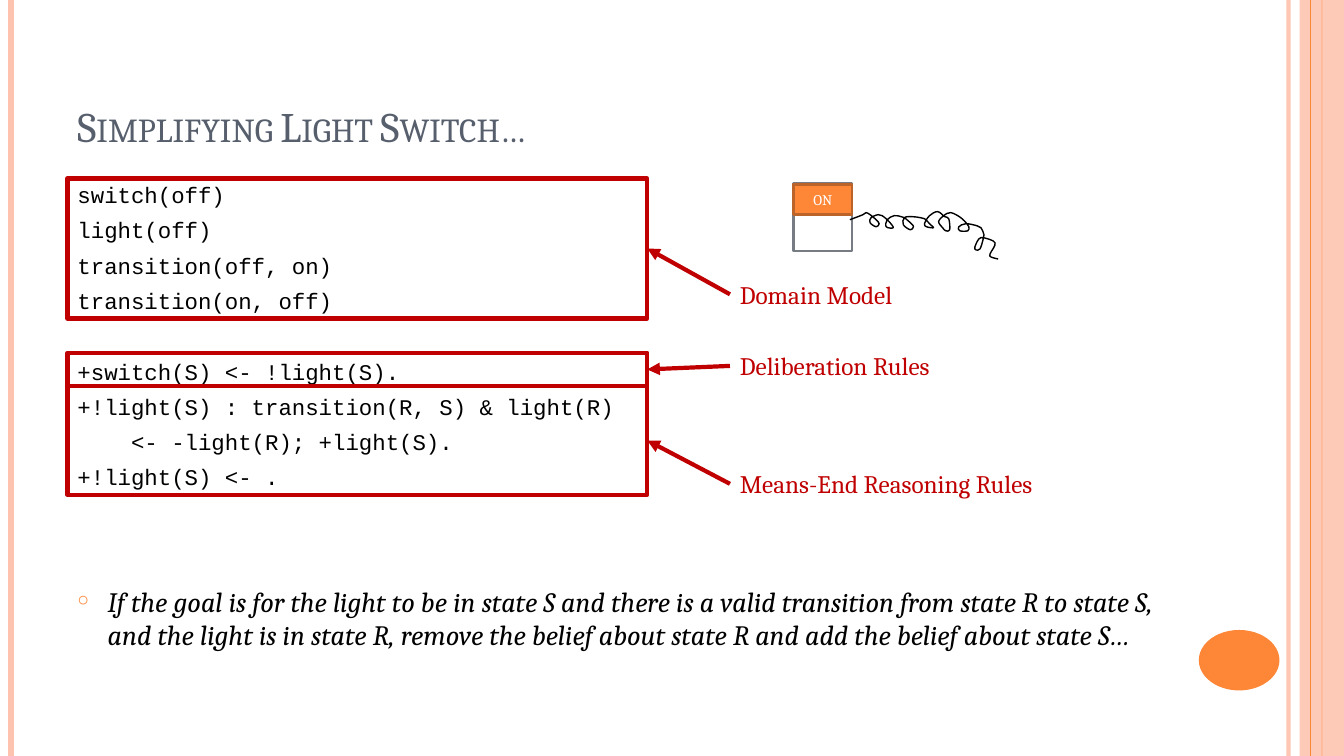
import pptx
import pptx.dml.color
import pptx.enum.shapes
import pptx.enum.text
import pptx.oxml
import pptx.oxml.ns
import pptx.util

Inches = pptx.util.Inches
Pt = pptx.util.Pt
SHAPES = pptx.enum.shapes.MSO_SHAPE
ANCHOR = pptx.enum.text.MSO_ANCHOR
ALIGN = pptx.enum.text.PP_ALIGN
STRAIGHT = pptx.enum.shapes.MSO_CONNECTOR.STRAIGHT
COLORS = {
    "peach": "FEC3AE", "orange": "FE8637", "rust": "BC6329", "slate": "575F6D",
    "gray": "777C84", "red": "C00000", "black": "000000", "white": "FFFFFF",
}
NS = 'xmlns:a="http://schemas.openxmlformats.org/drawingml/2006/main"'


def paint(shape, fill=None, line=None, width=1, alpha=None):
    """Colour a shape or a connector; alpha is a percentage."""
    if hasattr(shape, "fill"):
        shape.shadow.inherit = False
        if fill:
            shape.fill.solid()
            shape.fill.fore_color.rgb = pptx.dml.color.RGBColor.from_string(COLORS[fill])
        else:
            shape.fill.background()
    else:
        shape._element.spPr.append(pptx.oxml.parse_xml(f"<a:effectLst {NS}/>"))
    if line:
        shape.line.color.rgb = pptx.dml.color.RGBColor.from_string(COLORS[line])
        shape.line.width = Pt(width)
    else:
        shape.line.fill.background()
    if alpha:
        color = shape._element.spPr.find(".//" + pptx.oxml.ns.qn("a:srgbClr"))
        color.append(pptx.oxml.parse_xml(f'<a:alpha {NS} val="{alpha * 1000}"/>'))


def write(para, text, color, **font):
    """Add one run with the given font values."""
    span = para.add_run()
    span.text = text
    span.font.color.rgb = pptx.dml.color.RGBColor.from_string(COLORS[color])
    for name, value in font.items():
        setattr(span.font, name, value)
    return span


deck = pptx.Presentation()
deck.slide_width = Inches(13.33)
deck.slide_height = Inches(7.5)
page = deck.slides.add_slide(deck.slide_layouts[6])

# Side bands
for x, color, width, alpha in [(12.78, "peach", 3, 93), (0.11, "peach", 4.5, None),
                               (13.11, "orange", 1.5, None)]:
    rail = page.shapes.add_connector(STRAIGHT, Inches(x), 0, Inches(x), Inches(7.5))
    paint(rail, line=color, width=width, alpha=alpha)
band = page.shapes.add_shape(SHAPES.RECTANGLE, Inches(12.89), 0, Inches(0.44), Inches(7.5))
paint(band, "peach", alpha=87)
rail = page.shapes.add_connector(STRAIGHT, Inches(13), 0, Inches(13), Inches(7.5))
paint(rail, line="orange", width=0.75)
disc = page.shapes.add_shape(SHAPES.OVAL, Inches(11.89), Inches(6.25), Inches(0.8), Inches(0.6))
paint(disc, "orange")

# Title
title = page.shapes.add_textbox(Inches(0.67), Inches(0.3), Inches(10.89), Inches(1.25))
title.text_frame.word_wrap = True
title.text_frame.vertical_anchor = ANCHOR.BOTTOM
span = write(title.text_frame.paragraphs[0], "Simplifying Light Switch…", "slate",
             name="Cambria", size=Pt(30))
span.font._element.set("cap", "small")

# Code lines, each with its space before in points
code = [
    ("switch(off)", 0),
    ("light(off)", 6),
    ("transition(off, on)", 6),
    ("transition(on, off)", 6),
    ("+switch(S) <- !light(S).", 31.2),
    ("+!light(S) : transition(R, S) & light(R)", 6),
    ("    <- -light(R); +light(S).", 6),
    ("+!light(S) <- .", 6),
]
body = page.shapes.add_textbox(Inches(0.67), Inches(1.75), Inches(10.89), Inches(5.33))
body.text_frame.word_wrap = True
for number, (text, space) in enumerate(code):
    para = body.text_frame.add_paragraph() if number else body.text_frame.paragraphs[0]
    para.space_before = Pt(space)
    write(para, text, "black", name="Courier New", size=Pt(16))

# Bulleted explanation
para = body.text_frame.add_paragraph()
para.space_before = Pt(67)
props = para._p.get_or_add_pPr()
props.set("marL", str(Inches(0.3)))
props.set("indent", str(-Inches(0.3)))
for bullet in [f'<a:buClr {NS}><a:srgbClr val="{COLORS["orange"]}"/></a:buClr>',
               f'<a:buSzPct {NS} val="70000"/>',
               f'<a:buFont {NS} typeface="Courier New"/>',
               f'<a:buChar {NS} char="○"/>']:
    props.append(pptx.oxml.parse_xml(bullet))
write(para, "If the goal is for the light to be in state S and there is a valid transition "
      "from state R to state S, and the light is in state R, remove the belief about "
      "state R and add the belief about state S…",
      "black", name="Cambria", size=Pt(20), italic=True)

# Light switch
plate = page.shapes.add_shape(SHAPES.RECTANGLE, Inches(7.87), Inches(1.82), Inches(0.58), Inches(0.67))
paint(plate, "white", "gray", 2)
button = page.shapes.add_shape(SHAPES.RECTANGLE, Inches(7.87), Inches(1.83), Inches(0.58), Inches(0.3))
paint(button, "orange", "rust", 2)
button.text_frame.vertical_anchor = ANCHOR.MIDDLE
button.text_frame.word_wrap = False
button.text_frame.paragraphs[0].alignment = ALIGN.CENTER
write(button.text_frame.paragraphs[0], "ON", "white", name="Cambria", size=Pt(10.5))

# Curly wire through these points
wire = [
    (8.43, 2.18), (8.56, 2.13), (8.59, 2.11), (8.63, 2.13), (8.69, 2.18), (8.72, 2.22),
    (8.69, 2.25), (8.63, 2.21), (8.64, 2.16), (8.71, 2.13), (8.75, 2.14), (8.82, 2.2),
    (8.86, 2.26), (8.79, 2.25), (8.8, 2.18), (8.87, 2.14), (8.94, 2.15), (8.97, 2.16),
    (9.04, 2.22), (9.06, 2.25), (9.03, 2.28), (8.96, 2.23), (8.97, 2.16), (9.05, 2.15),
    (9.13, 2.16), (9.17, 2.17), (9.23, 2.23), (9.26, 2.26), (9.19, 2.25), (9.17, 2.22),
    (9.22, 2.14), (9.3, 2.1), (9.37, 2.15), (9.41, 2.17), (9.42, 2.28), (9.38, 2.29),
    (9.35, 2.26), (9.31, 2.2), (9.36, 2.14), (9.43, 2.11), (9.53, 2.16), (9.59, 2.22),
    (9.61, 2.25), (9.6, 2.29), (9.52, 2.29), (9.51, 2.25), (9.58, 2.22), (9.69, 2.24),
    (9.73, 2.26), (9.76, 2.33), (9.75, 2.38), (9.72, 2.47), (9.68, 2.48), (9.67, 2.45),
    (9.71, 2.37), (9.76, 2.36), (9.87, 2.41), (9.82, 2.52), (9.83, 2.55), (9.9, 2.57),
]
knots = [(Inches(x), Inches(y)) for x, y in wire]
builder = page.shapes.build_freeform(*knots[0])
builder.add_line_segments(knots[1:], close=False)
cord = builder.convert_to_shape()
paint(cord, line="black")

# Round each straight step of the wire into a Bezier curve
padded = [knots[0]] + knots + [knots[-1]]
steps = list(cord._element.iter(pptx.oxml.ns.qn("a:lnTo")))
for step, (before, start, end, after) in zip(steps, zip(padded, padded[1:], padded[2:], padded[3:])):
    leave = [s + (e - b) // 6 for b, s, e in zip(before, start, end)]
    arrive = [e - (a - s) // 6 for s, e, a in zip(start, end, after)]
    points = "".join(f'<a:pt x="{x - cord.left}" y="{y - cord.top}"/>' for x, y in (leave, arrive, end))
    bend = pptx.oxml.parse_xml(f"<a:cubicBezTo {NS}>{points}</a:cubicBezTo>")
    step.getparent().replace(step, bend)

# Red frames, their labels and arrows
for text, frame_top, frame_height, label_top, label_width in [
    ("Deliberation Rules", 3.5, 0.33, 3.43, 2.39),
    ("Means-End Reasoning Rules", 3.83, 1.08, 4.6, 3.56),
    ("Domain Model", 1.77, 1.39, 2.72, 1.91),
]:
    frame = page.shapes.add_shape(SHAPES.RECTANGLE, Inches(0.67), Inches(frame_top),
                                  Inches(5.75), Inches(frame_height))
    paint(frame, line="red", width=3)
    label = page.shapes.add_textbox(Inches(7.24), Inches(label_top), Inches(label_width), Inches(0.4))
    label.text_frame.word_wrap = True
    write(label.text_frame.paragraphs[0], text, "red", name="Cambria", size=Pt(18))
    arrow = page.shapes.add_connector(STRAIGHT, 0, 0, 0, 0)
    arrow.begin_connect(label, 1)
    arrow.end_connect(frame, 3)
    paint(arrow, line="red", width=3)
    arrow.line._get_or_add_ln().append(pptx.oxml.parse_xml(f'<a:tailEnd {NS} type="triangle"/>'))

deck.save("out.pptx")
